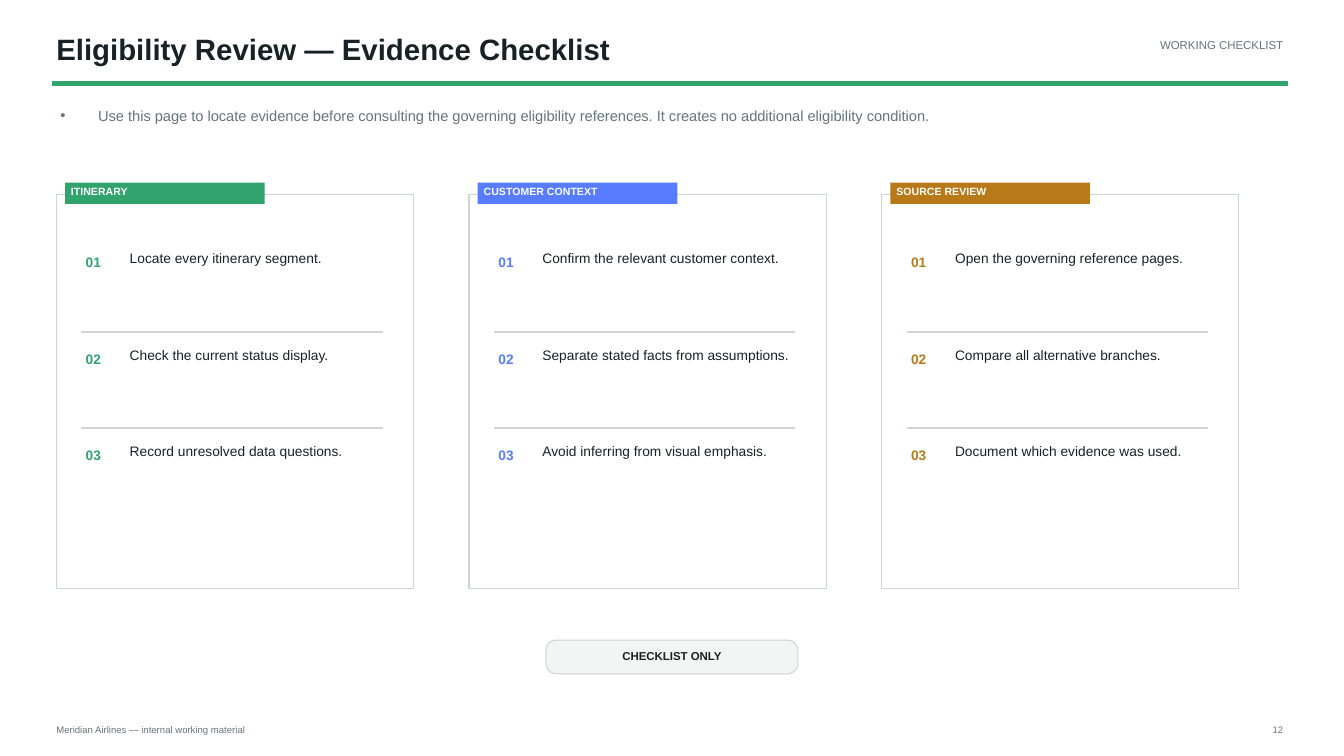
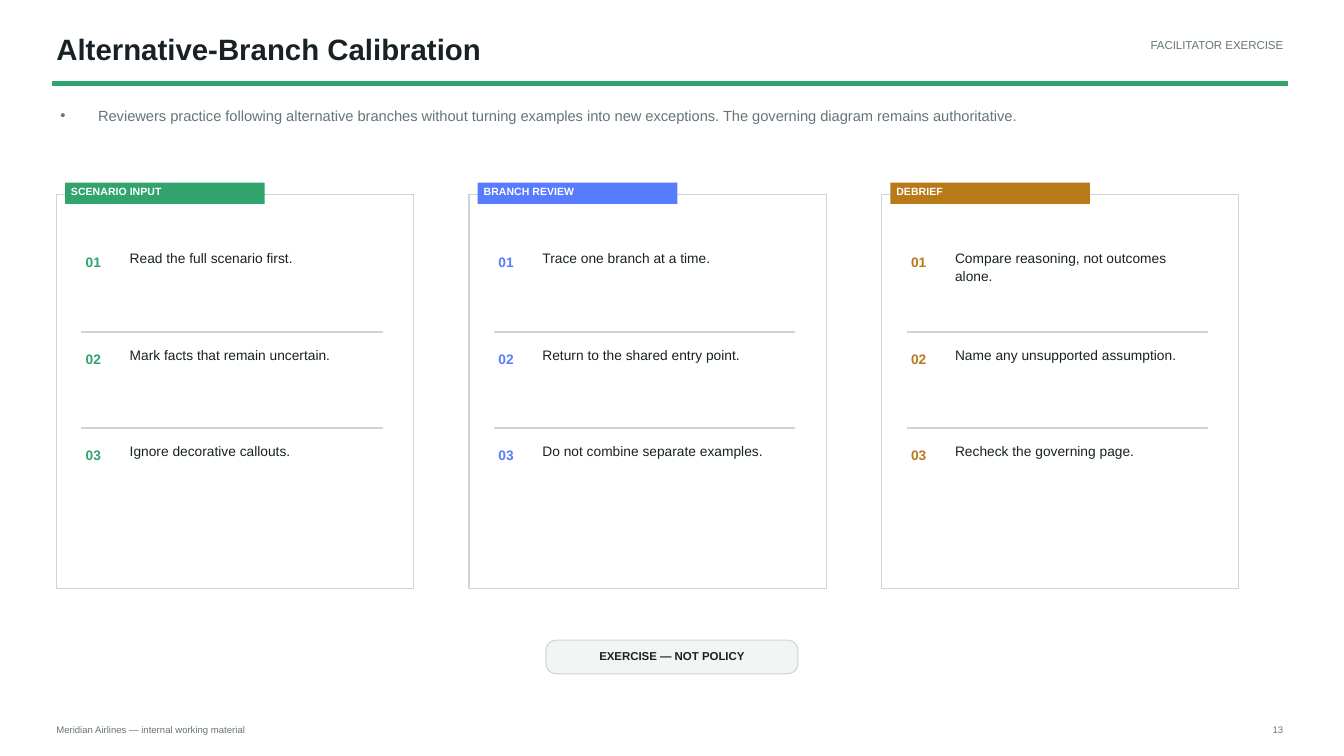
from lxml.etree import SubElement
from pptx import Presentation
from pptx.dml.color import RGBColor
from pptx.enum.shapes import MSO_SHAPE as Kind
from pptx.enum.text import MSO_ANCHOR as Anchor, MSO_AUTO_SIZE as Fit, PP_ALIGN as Align
from pptx.oxml.ns import qn
from pptx.util import Cm, Pt

INK = RGBColor(0x17, 0x21, 0x26)
MUTED = RGBColor(0x66, 0x74, 0x7B)
GREEN = RGBColor(0x31, 0xA3, 0x6C)
BLUE = RGBColor(0x57, 0x7C, 0xFF)
OCHRE = RGBColor(0xB8, 0x79, 0x18)
EDGE = RGBColor(0xCD, 0xD5, 0xD8)
PALE = RGBColor(0xF3, 0xF5, 0xF5)
WHITE = RGBColor(0xFF, 0xFF, 0xFF)

FONT = "Arial"
FOOTER = "Meridian Airlines — internal working material"
LEFT, RIGHT = 1.32, 32.44
CARD = 1.42, 4.9, 9, 9.93
STEP, ROW = 10.4, 2.43

PAGES = [
    (12, "Eligibility Review — Evidence Checklist", "WORKING CHECKLIST",
     "Use this page to locate evidence before consulting the governing eligibility "
     "references. It creates no additional eligibility condition.",
     [("ITINERARY", GREEN, ["Locate every itinerary segment.",
                            "Check the current status display.",
                            "Record unresolved data questions."]),
      ("CUSTOMER CONTEXT", BLUE, ["Confirm the relevant customer context.",
                                  "Separate stated facts from assumptions.",
                                  "Avoid inferring from visual emphasis."]),
      ("SOURCE REVIEW", OCHRE, ["Open the governing reference pages.",
                                "Compare all alternative branches.",
                                "Document which evidence was used."])],
     "CHECKLIST ONLY"),
    (13, "Alternative-Branch Calibration", "FACILITATOR EXERCISE",
     "Reviewers practice following alternative branches without turning examples into "
     "new exceptions. The governing diagram remains authoritative.",
     [("SCENARIO INPUT", GREEN, ["Read the full scenario first.",
                                 "Mark facts that remain uncertain.",
                                 "Ignore decorative callouts."]),
      ("BRANCH REVIEW", BLUE, ["Trace one branch at a time.",
                               "Return to the shared entry point.",
                               "Do not combine separate examples."]),
      ("DEBRIEF", OCHRE, ["Compare reasoning, not outcomes alone.",
                          "Name any unsupported assumption.",
                          "Recheck the governing page."])],
     "EXERCISE — NOT POLICY"),
]


def write(shape, text, size, color, bold=False, align=Align.LEFT, space=1.0,
          anchor=Anchor.TOP, pad=(0.1, 0.05)):
    """Fill a shape with one styled paragraph."""
    frame = shape.text_frame
    frame.word_wrap = True
    frame.auto_size = Fit.NONE
    frame.vertical_anchor = anchor
    frame.margin_left = frame.margin_right = Cm(pad[0])
    frame.margin_top = frame.margin_bottom = Cm(pad[1])
    frame.text = text
    para = frame.paragraphs[0]
    para.alignment = align
    para.line_spacing = space
    para.space_before = Pt(0)
    font = para.font
    font.name, font.size, font.bold = FONT, Pt(size), bold
    font.color.rgb = color


def label(slide, box, text, size, color, **style):
    """Add a text box."""
    write(slide.shapes.add_textbox(*map(Cm, box)), text, size, color, **style)


def block(slide, box, fill=None, line=None, width=0, kind=Kind.RECTANGLE):
    """Add a flat shape with optional fill and outline."""
    shape = slide.shapes.add_shape(kind, *map(Cm, box))
    shape.shadow.inherit = False
    if fill is None:
        shape.fill.background()
    else:
        shape.fill.solid()
        shape.fill.fore_color.rgb = fill
    if line is None:
        shape.line.fill.background()
    else:
        shape.line.color.rgb = line
        shape.line.width = Pt(width)
    return shape


def place(shape, box):
    """Move a placeholder to a box."""
    shape.left, shape.top, shape.width, shape.height = map(Cm, box)


def header(slide, title, tag, intro):
    """Set the title, corner tag, green rule and introduction."""
    head, body = slide.shapes.title, slide.placeholders[1]
    place(head, (LEFT, 0.74, 22.48, 1.12))
    write(head, title, 21, INK, bold=True)
    label(slide, (RIGHT - 8.58, 0.91, 8.58, 0.79), tag, 8.2, MUTED, align=Align.RIGHT)
    block(slide, (LEFT, 2.06, RIGHT - LEFT, 0.09), GREEN, GREEN)
    place(body, (CARD[0], 2.64, 29.64, 1.12))
    props = body.text_frame.paragraphs[0]._p.get_or_add_pPr()
    props.set("marL", "0")
    props.set("indent", "0")
    SubElement(props, qn("a:buNone"))
    write(body, intro, 10.5, MUTED)


def card(slide, box, name, color, items):
    """Draw an outlined card with a tab and numbered items."""
    left, top, width, _ = box
    block(slide, box, line=EDGE, width=0.75)
    tab = block(slide, (left + 0.22, top - 0.3, 5.03, 0.54), color)
    write(tab, name, 7.5, WHITE, bold=True, pad=(0.15, 0.07))
    inner = left + 0.64
    for num, item in enumerate(items):
        row = top + num * ROW
        if num:
            block(slide, (inner, row + 1.02, width - 1.43, 0.02), EDGE, EDGE)
        label(slide, (inner, row + 1.45, 0.89, 0.74), f"{num + 1:02}", 9.8, color, bold=True)
        label(slide, (left + 1.75, row + 1.32, 6.48, 1.75), item, 9.8, INK, space=1.08)


def badge(slide, box, text):
    """Draw the rounded note below the cards."""
    pill = block(slide, box, PALE, EDGE, 0.75, Kind.ROUNDED_RECTANGLE)
    pill.adjustments[0] = 0.31
    write(pill, text, 8.2, INK, bold=True, align=Align.CENTER, space=0.96,
          anchor=Anchor.MIDDLE, pad=(0.15, 0.08))


def footer(slide, page):
    """Add the footer text and page number."""
    label(slide, (LEFT, 18.19, 7.92, 0.48), FOOTER, 6.8, MUTED)
    label(slide, (RIGHT - 1.32, 18.19, 1.32, 0.48), str(page), 6.8, MUTED, align=Align.RIGHT)


def build(deck, page, title, tag, intro, cards, note):
    """Build one checklist slide."""
    slide = deck.slides.add_slide(deck.slide_layouts[1])
    header(slide, title, tag, intro)
    left, top, width, height = CARD
    for num, (name, color, items) in enumerate(cards):
        card(slide, (left + num * STEP, top, width, height), name, color, items)
    badge(slide, (13.76, 16.13, 6.35, 0.85), note)
    footer(slide, page)


def main():
    """Build and save the deck."""
    deck = Presentation()
    deck.slide_width, deck.slide_height = Cm(33.87), Cm(19.05)
    for page in PAGES:
        build(deck, *page)
    deck.save("out.pptx")


if __name__ == "__main__":
    main()
